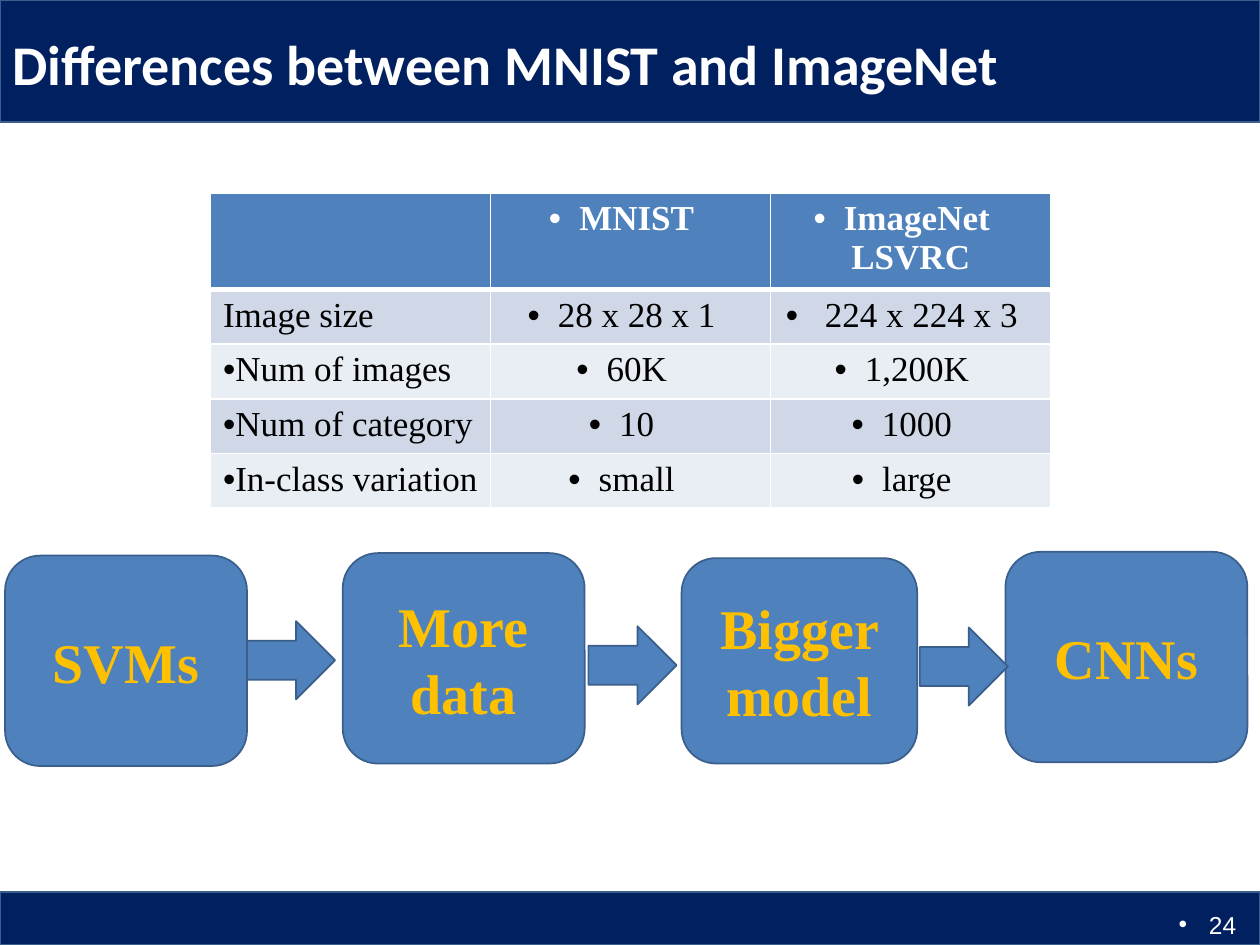
from lxml import etree
from pptx import Presentation
from pptx.dml import color
from pptx.enum import shapes, text
from pptx.oxml import ns
from pptx.util import Inches, Pt

NAVY, BLUE, EDGE, WHITE, GOLD, BLACK = "002060", "4F81BD", "3A5F8C", "FFFFFF", "FFC000", "000000"
BANDS = ["D0D8E8", "E9EDF4"]
SERIF = "Times New Roman"
LEFT, CENTER, RIGHT = text.PP_ALIGN.LEFT, text.PP_ALIGN.CENTER, text.PP_ALIGN.RIGHT

ROWS = [
    ["", "MNIST", "ImageNet LSVRC"],
    ["Image size", "28 x 28 x 1", " 224 x 224 x 3"],
    ["Num of images", "60K", "1,200K"],
    ["Num of category", "10", "1000"],
    ["In-class variation", "small", "large"],
]
UNBULLETED = {"", "Image size"}
STEPS = [
    ("SVMs", 0, 0.03, 1.92, 1.67),
    ("More data", 2.68, 0.01, 1.92, 1.67),
    ("Bigger model", 5.37, 0.05, 1.87, 1.63),
    ("CNNs", 7.94, 0, 1.92, 1.67),
]
ARROWS = [(1.92, 0.55), (4.63, 0.59), (7.26, 0.6)]


def rgb(value):
    return color.RGBColor.from_string(value)


def write(frame, wording, size, font, hue, align, bold=False):
    frame.text = wording
    paragraph = frame.paragraphs[0]
    paragraph.alignment = align
    for run in paragraph.runs:
        run.font.size, run.font.name, run.font.bold = Pt(size), font, bold
        run.font.color.rgb = rgb(hue)
    return paragraph


def add_bullet(paragraph):
    hanging = 0 if paragraph.alignment == LEFT else Inches(0.24)
    properties = paragraph._p.get_or_add_pPr()
    properties.set("marL", "0")
    properties.set("indent", str(-hanging))
    etree.SubElement(properties, ns.qn("a:buFont"), typeface="Arial")
    etree.SubElement(properties, ns.qn("a:buChar"), char="•")


def add_block(slide, kind, x, y, width, height, fill):
    block = slide.shapes.add_shape(kind, Inches(x), Inches(y), Inches(width), Inches(height))
    block.shadow.inherit = False
    block.fill.solid()
    block.fill.fore_color.rgb = rgb(fill)
    block.line.color.rgb = rgb(EDGE)
    block.line.width = Pt(1)
    return block


def add_header(slide, x, y, width, height):
    add_block(slide, shapes.MSO_SHAPE.RECTANGLE, x, y, width, height, NAVY)
    title = slide.shapes.title
    title.left, title.top = Inches(x), Inches(y)
    title.width, title.height = Inches(width - 0.08), Inches(height + 0.03)
    title.text_frame.vertical_anchor = text.MSO_ANCHOR.MIDDLE
    write(title.text_frame, "Differences between MNIST and ImageNet", 32, "Calibri", WHITE, LEFT, True)
    slide.shapes.element.append(title.element)


def add_footer(slide, x, y, width, height):
    add_block(slide, shapes.MSO_SHAPE.RECTANGLE, x, y, width, height, NAVY)
    number = slide.shapes.add_textbox(
        Inches(x + width - 2.42), Inches(y + 0.09), Inches(2.33), Inches(0.33)
    )
    number.text_frame.word_wrap = True
    add_bullet(write(number.text_frame, "24", 14, "Arial", WHITE, RIGHT))


def add_borders(cell, top, bottom):
    properties = cell._tc.get_or_add_tcPr()
    for side, width in (("L", 1), ("R", 1), ("T", top), ("B", bottom)):
        border = etree.SubElement(properties, ns.qn(f"a:ln{side}"), w=str(Pt(width)))
        solid = etree.SubElement(border, ns.qn("a:solidFill"))
        etree.SubElement(solid, ns.qn("a:srgbClr"), val=WHITE)


def add_comparison(slide, x, y, width, height):
    table = slide.shapes.add_table(
        len(ROWS), len(ROWS[0]), Inches(x), Inches(y), Inches(width), Inches(height)
    ).table
    for r, row in enumerate(ROWS):
        header = r == 0
        for c, wording in enumerate(row):
            cell = table.cell(r, c)
            add_borders(cell, 3 if r == 1 else 1, 3 if header else 1)
            cell.fill.solid()
            cell.fill.fore_color.rgb = rgb(BLUE if header else BANDS[(r - 1) % 2])
            paragraph = write(
                cell.text_frame, wording, 20, SERIF, WHITE if header else BLACK,
                CENTER if c else LEFT, header,
            )
            if wording not in UNBULLETED:
                add_bullet(paragraph)


def add_process(slide, x, y):
    for wording, dx, dy, width, height in STEPS:
        step = add_block(
            slide, shapes.MSO_SHAPE.ROUNDED_RECTANGLE, x + dx, y + dy, width, height, BLUE
        )
        step.text_frame.vertical_anchor = text.MSO_ANCHOR.MIDDLE
        write(step.text_frame, wording, 32, SERIF, GOLD, CENTER, True)
    for dx, dy in ARROWS:
        add_block(slide, shapes.MSO_SHAPE.RIGHT_ARROW, x + dx, y + dy, 0.7, 0.62, BLUE)


def main():
    deck = Presentation()
    deck.slide_width, deck.slide_height = Inches(10), Inches(7.5)
    slide = deck.slides.add_slide(deck.slide_layouts[5])
    add_header(slide, 0, 0, 10, 0.97)
    add_footer(slide, 0, 7.08, 10, 0.42)
    add_comparison(slide, 1.67, 1.53, 6.67, 2.03)
    add_process(slide, 0.04, 4.38)
    deck.save("out.pptx")


if __name__ == "__main__":
    main()
